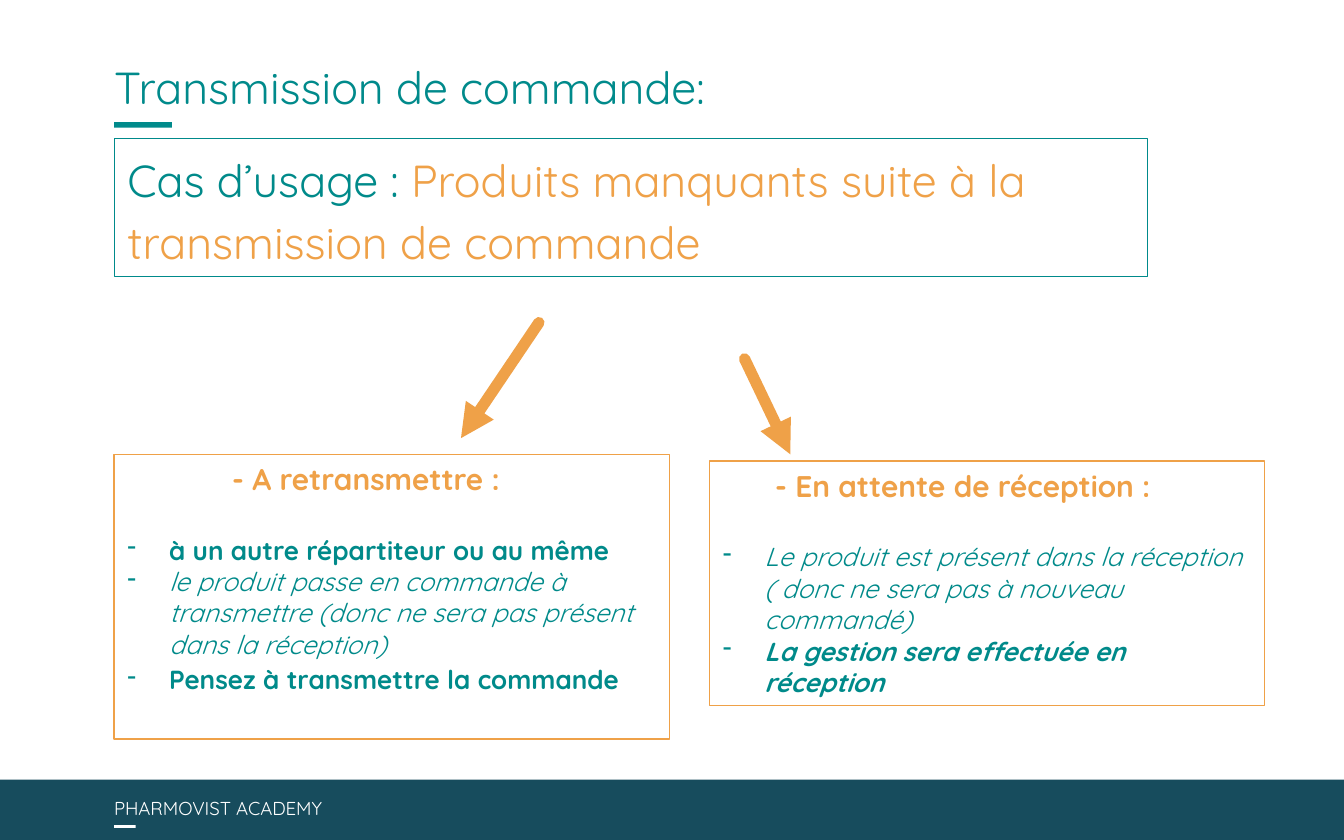
from lxml.etree import SubElement
from pptx import Presentation
from pptx.dml.color import RGBColor
from pptx.enum.shapes import MSO_CONNECTOR as Connector, MSO_SHAPE as Shape
from pptx.enum.text import MSO_ANCHOR as Anchor, PP_ALIGN as Align
from pptx.oxml.ns import qn
from pptx.util import Inches, Pt

COLORS = {"teal": "008A8B", "text": "008A8A", "orange": "EFA148",
          "navy": "174C5D", "white": "FFFFFF"}
FONT = "Quicksand"
LEFT = 0.85


def rgb(name):
    return RGBColor.from_string(COLORS[name])


class Page:
    """Holds the style and the current slide."""

    def __init__(self, deck):
        self.slide = deck.slides.add_slide(deck.slide_layouts[5])

    def span(self, para, text, size, color, bold=False, italic=False):
        run = para.add_run()
        run.text = text
        font = run.font
        font.name, font.size = FONT, Pt(size)
        font.bold, font.italic = bold, italic
        font.color.rgb = rgb(color)

    def indent(self, para, margin, first=0.0, bullet=None):
        props = para._p.get_or_add_pPr()
        props.set("marL", str(Inches(margin)))
        props.set("indent", str(Inches(first)))
        if bullet:
            SubElement(props, qn("a:buChar"), char=bullet)

    def title(self, text, left, top, width, height):
        box = self.slide.shapes.title
        box.left, box.top = Inches(left), Inches(top)
        box.width, box.height = Inches(width), Inches(height)
        frame = box.text_frame
        frame.margin_left = frame.margin_right = 0
        frame.margin_top = frame.margin_bottom = 0
        frame.vertical_anchor = Anchor.BOTTOM
        para = frame.paragraphs[0]
        para.alignment, para.line_spacing = Align.LEFT, 0.9
        self.span(para, text, 24, "teal")

    def rect(self, left, top, width, height, fill=None, line=None):
        box = self.slide.shapes.add_shape(
            Shape.RECTANGLE, Inches(left), Inches(top), Inches(width), Inches(height))
        box.shadow.inherit = False
        if fill:
            box.fill.solid()
            box.fill.fore_color.rgb = rgb(fill)
        else:
            box.fill.background()
        if line:
            box.line.color.rgb = rgb(line)
            box.line.width = Pt(0.75)
        else:
            box.line.fill.background()
        return box

    def frame(self, left, top, width, height, line):
        """Outlined box; returns its text frame and first paragraph."""
        frame = self.rect(left, top, width, height, line=line).text_frame
        frame.word_wrap = True
        frame.vertical_anchor = Anchor.TOP
        para = frame.paragraphs[0]
        para.alignment = Align.LEFT
        return frame, para

    def label(self, text, left, top, width, height):
        box = self.slide.shapes.add_textbox(
            Inches(left), Inches(top), Inches(width), Inches(height))
        box.text_frame.word_wrap = False
        self.span(box.text_frame.paragraphs[0], text, 10, "white")

    def option(self, left, top, height, heading, margin, items):
        """Heading and dashed list; items are (text, bold, italic, space before)."""
        frame, para = self.frame(left, top, 4.13, height, "orange")
        self.indent(para, margin)
        self.span(para, heading, 16, "orange", bold=True)
        for text, bold, italic, before in items:
            para = frame.add_paragraph()
            para.alignment = Align.LEFT
            self.indent(para, 0.31, -0.31, "-")
            para.space_before = Pt(before)
            self.span(para, text, 14, "text", bold, italic)

    def arrow(self, x1, y1, x2, y2):
        line = self.slide.shapes.add_connector(
            Connector.STRAIGHT, Inches(x1), Inches(y1), Inches(x2), Inches(y2))
        line.line.color.rgb = rgb("orange")
        line.line.width = Pt(6)
        stroke = line.line._get_or_add_ln()
        stroke.set("cap", "rnd")
        SubElement(stroke, qn("a:tailEnd"), type="triangle")
        SubElement(line._element.spPr, qn("a:effectLst"))


def main():
    deck = Presentation()
    deck.slide_width, deck.slide_height = Inches(10), Inches(6.25)
    page = Page(deck)

    # Title and footer
    page.title("Transmission de commande:", LEFT, 0.1, 8.68, 0.75)
    page.rect(LEFT, 0.91, 0.43, 0.04, fill="teal")
    page.rect(0, 5.8, 10, 0.45, fill="navy")
    page.rect(LEFT, 6.14, 0.16, 0.02, fill="white")
    page.label("PHARMOVIST ACADEMY", LEFT - 0.1, 5.88, 1.88, 0.27)

    # Use case
    _, para = page.frame(LEFT, 1.03, 7.69, 1.03, "teal")
    para.line_spacing = 1.15
    page.span(para, "Cas d’usage : ", 24, "text")
    page.span(para, "Produits manquants suite à la transmission de commande", 24, "orange")

    # Two outcomes
    page.option(LEFT, 3.38, 2.12, "- A retransmettre :", 0.78, [
        ("à un autre répartiteur ou au même", True, False, 20),
        ("le produit passe en commande à transmettre "
         "(donc ne sera pas présent dans la réception)", False, True, 0),
        ("Pensez à transmettre la commande", True, False, 2),
    ])
    page.option(5.28, 3.43, 1.82, "- En attente de réception :", 0.39, [
        ("Le produit est présent dans la réception "
         "( donc ne sera pas à nouveau commandé)", False, True, 20),
        ("La gestion sera effectuée en réception", True, True, 0),
    ])

    # Arrows to the outcomes
    page.arrow(5.54, 2.67, 5.88, 3.38)
    page.arrow(4.01, 2.4, 3.43, 3.26)

    deck.save("out.pptx")


if __name__ == "__main__":
    main()
